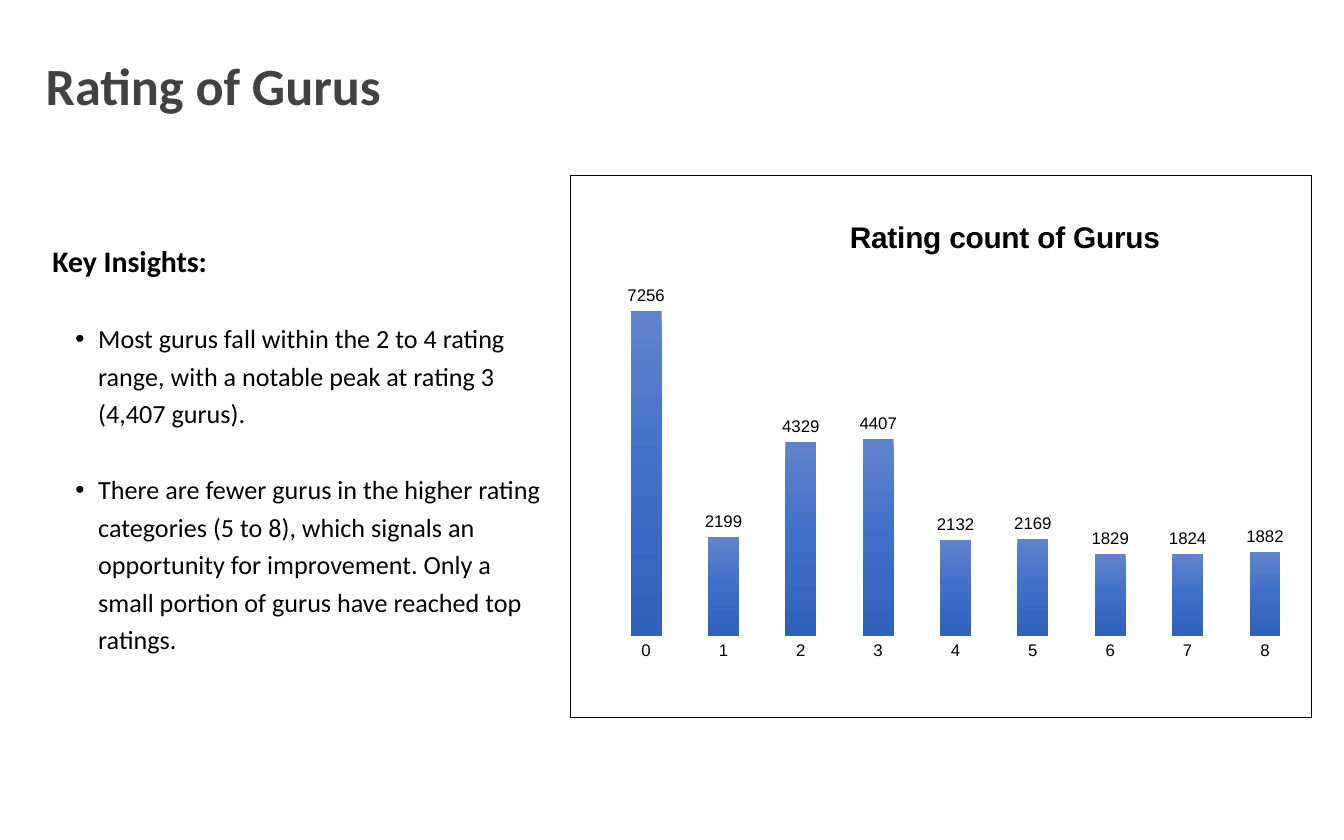
from dataclasses import dataclass

import pptx
import pptx.chart.data
import pptx.dml.color
import pptx.enum.chart
import pptx.enum.text
import pptx.oxml
import pptx.oxml.ns
import pptx.util

Pt = pptx.util.Pt
qn = pptx.oxml.ns.qn


@dataclass(frozen=True)
class Theme:
    text_font: str = "Calibri"
    chart_font: str = "Arial"
    heading: str = "424242"
    ink: str = "000000"
    axis: str = "FBFBFB"
    bar_stops: tuple = ((0, "6183CB"), (50, "3E70CA"), (100, "3062BB"))
    heading_size: float = 28
    lead_size: float = 16
    bullet_size: float = 14
    chart_title_size: float = 16
    chart_size: float = 10
    label_size: float = 9


def xml(markup):
    namespaces = pptx.oxml.ns.nsdecls("a", "c")
    tag, rest = markup.split(">", 1)
    return pptx.oxml.parse_xml(f"{tag} {namespaces}>{rest}")


class SlideBuilder:
    def __init__(self, slide, theme):
        self.slide = slide
        self.theme = theme

    def style(self, font, face, size, color, bold=False):
        font.name = face
        font.size = Pt(size)
        font.bold = bold
        font.color.rgb = pptx.dml.color.RGBColor.from_string(color)

    def frame(self, holder, box):
        holder.left, holder.top, holder.width, holder.height = map(Pt, box)
        frame = holder.text_frame
        frame.margin_left = frame.margin_right = 0
        frame.margin_top = frame.margin_bottom = 0
        frame.word_wrap = True
        frame.auto_size = pptx.enum.text.MSO_AUTO_SIZE.NONE
        frame.vertical_anchor = pptx.enum.text.MSO_ANCHOR.TOP
        return frame

    def paragraph(self, paragraph, text, size, color, bold=False, before=0):
        paragraph.alignment = pptx.enum.text.PP_ALIGN.LEFT
        paragraph.line_spacing = 1.2
        paragraph.space_before = Pt(before)
        run = paragraph.add_run()
        run.text = text
        self.style(run.font, self.theme.text_font, size, color, bold)

    def indent(self, paragraph, left, hanging, bullet):
        properties = paragraph._p.get_or_add_pPr()
        properties.set("marL", str(Pt(left)))
        properties.set("indent", str(-Pt(hanging)))
        properties.append(xml(bullet))

    def title(self, text, box):
        heading = self.frame(self.slide.shapes.title, box).paragraphs[0]
        self.paragraph(heading, text, self.theme.heading_size, self.theme.heading, True)

    def insights(self, lead, points, box):
        theme = self.theme
        frame = self.frame(self.slide.placeholders[1], box)
        opening = frame.paragraphs[0]
        self.paragraph(opening, lead, theme.lead_size, theme.ink, True)
        self.indent(opening, 0, 0, "<a:buNone></a:buNone>")
        for point in points:
            insight = frame.add_paragraph()
            insight.level = 1
            self.paragraph(insight, point, theme.bullet_size, theme.ink, before=20.4)
            self.indent(insight, 24.5, 12.25, '<a:buChar char="•"></a:buChar>')

    def place(self, parent, index, **fractions):
        for previous in parent.findall(qn("c:layout")):
            parent.remove(previous)
        target = '<c:layoutTarget val="inner"/>' if "w" in fractions else ""
        modes = "".join(f'<c:{key}Mode val="edge"/>' for key in ("x", "y"))
        sizes = "".join(f'<c:{key} val="{value}"/>' for key, value in fractions.items())
        layout = f"<c:layout><c:manualLayout>{target}{modes}{sizes}</c:manualLayout></c:layout>"
        parent.insert(index, xml(layout))

    def column_chart(self, heading, ratings, box):
        theme = self.theme
        data = pptx.chart.data.CategoryChartData()
        data.categories = [str(rating) for rating in range(len(ratings))]
        data.add_series("Series 1", ratings)
        kind = pptx.enum.chart.XL_CHART_TYPE.COLUMN_CLUSTERED
        chart = self.slide.shapes.add_chart(kind, *map(Pt, box), data).chart
        self.style(chart.font, theme.chart_font, theme.chart_size, theme.ink)
        chart.has_legend = False

        chart.has_title = True
        run = chart.chart_title.text_frame.paragraphs[0].add_run()
        run.text = heading
        self.style(run.font, theme.chart_font, theme.chart_title_size, theme.ink, True)
        self.place(chart.chart_title._element, 1, x=0.37, y=0.07)
        chart_root = chart._chartSpace.find(qn("c:chart"))
        self.place(chart_root.find(qn("c:plotArea")), 0, x=0.05, y=0.19, w=0.94, h=0.66)
        chart_root.addnext(xml(
            f'<c:spPr><a:noFill/><a:ln w="{Pt(0.5)}"><a:solidFill>'
            f'<a:srgbClr val="{theme.ink}"/></a:solidFill></a:ln></c:spPr>'))

        counts = chart.value_axis
        counts.minimum_scale, counts.maximum_scale = 0, 8000
        counts.has_major_gridlines = False
        counts.visible = False
        scores = chart.category_axis
        scores.major_tick_mark = pptx.enum.chart.XL_TICK_MARK.NONE
        self.style(scores.tick_labels.font, theme.chart_font, theme.label_size, theme.ink)
        scores.format.line.width = Pt(0.75)
        scores.format.line.color.rgb = pptx.dml.color.RGBColor.from_string(theme.axis)

        plot = chart.plots[0]
        plot.gap_width = 150
        plot.vary_by_categories = False
        plot.has_data_labels = True
        labels = plot.data_labels
        labels.show_value = True
        labels.position = pptx.enum.chart.XL_LABEL_POSITION.OUTSIDE_END
        self.style(labels.font, theme.chart_font, theme.label_size, theme.ink)
        bars = plot.series[0]
        bars.format.fill.solid()
        stops = "".join(
            f'<a:gs pos="{percent * 1000}"><a:srgbClr val="{color}"/></a:gs>'
            for percent, color in theme.bar_stops)
        properties = bars._element.spPr
        properties.replace(properties.find(qn("a:solidFill")), xml(
            f'<a:gradFill><a:gsLst>{stops}</a:gsLst><a:lin ang="5400000" scaled="0"/></a:gradFill>'))


def main():
    deck = pptx.Presentation()
    deck.slide_width, deck.slide_height = Pt(720), Pt(450)
    builder = SlideBuilder(deck.slides.add_slide(deck.slide_layouts[1]), Theme())
    builder.title("Rating of Gurus", (24.5, 21.6, 539.3, 41))
    builder.insights(
        "Key Insights:",
        [
            "Most gurus fall within the 2 to 4 rating range, with a notable peak "
            "at rating 3 (4,407 gurus).",
            "There are fewer gurus in the higher rating categories (5 to 8), which "
            "signals an opportunity for improvement. Only a small portion of gurus "
            "have reached top ratings.",
        ],
        (28.1, 126, 265.7, 226.8),
    )
    builder.column_chart(
        "Rating count of Gurus",
        [7256, 2199, 4329, 4407, 2132, 2169, 1829, 1824, 1882],
        (305.3, 93.6, 397.4, 290.9),
    )
    deck.save("out.pptx")


if __name__ == "__main__":
    main()
